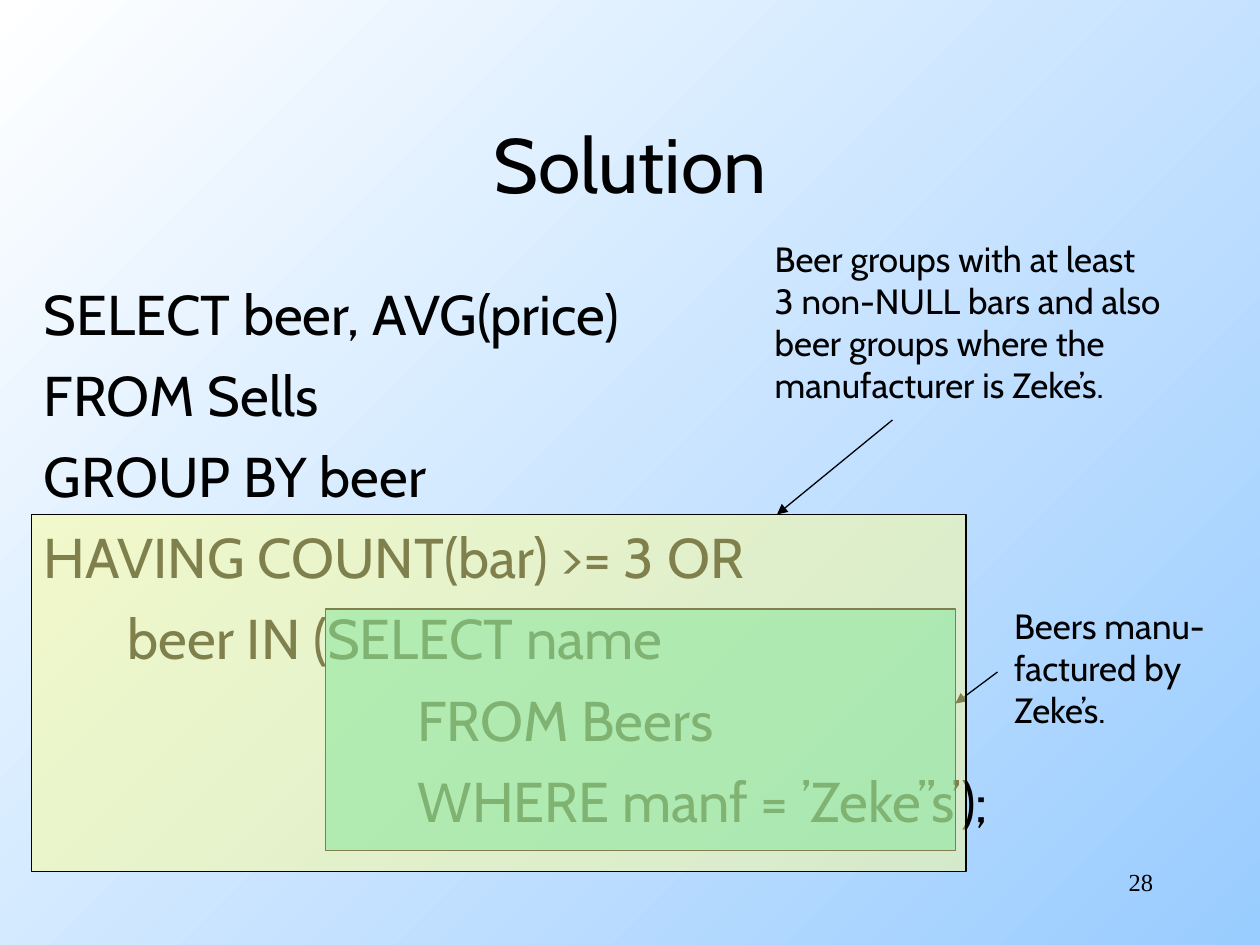
from lxml import etree
from pptx import Presentation
from pptx.dml.color import RGBColor
from pptx.enum.shapes import MSO_CONNECTOR, MSO_SHAPE
from pptx.enum.text import MSO_ANCHOR, PP_ALIGN
from pptx.oxml.ns import qn
from pptx.util import Inches, Pt

BLACK = RGBColor(0x00, 0x00, 0x00)
WHITE = RGBColor(0xFF, 0xFF, 0xFF)
SKY = RGBColor(0x99, 0xCC, 0xFF)
GREEN = RGBColor(0x00, 0xCC, 0x99)
YELLOW = RGBColor(0xFF, 0xFF, 0x99)

LEFT, CENTER, RIGHT = PP_ALIGN.LEFT, PP_ALIGN.CENTER, PP_ALIGN.RIGHT
TOP, MIDDLE = MSO_ANCHOR.TOP, MSO_ANCHOR.MIDDLE
RECT, STRAIGHT = MSO_SHAPE.RECTANGLE, MSO_CONNECTOR.STRAIGHT

# Boxes are left, top, width, height on a grid of 120 columns by 90 rows.
WIDE, HIGH = Inches(10), Inches(7.5)
CELL = WIDE / 120

QUERY = [  # indent in columns, text
    (0, "SELECT beer, AVG(price)"),
    (0, "FROM Sells"),
    (0, "GROUP BY beer"),
    (0, "HAVING COUNT(bar) >= 3 OR"),
    (8, "beer IN (SELECT name"),
    (35.6, "FROM Beers"),
    (35.6, "WHERE manf = ’Zeke’’s’);"),
]
INNER = ["Beers manu-", "factured by", "Zeke’s."]
OUTER = ["Beer groups with at least", "3 non-NULL bars and also",
         "beer groups where the", "manufacturer is Zeke’s."]


def grid(*cells):
    return [round(n * CELL) for n in cells]


def write(slide, box, lines, size, font="Cabin", align=LEFT, anchor=TOP,
          wrap=True, before=0, indents=None):
    frame = slide.shapes.add_textbox(*grid(*box)).text_frame
    frame.word_wrap = wrap
    frame.vertical_anchor = anchor
    for i, line in enumerate(lines):
        para = frame.paragraphs[0] if i == 0 else frame.add_paragraph()
        para.alignment = align
        para.space_before = Pt(before)
        if indents:
            para._p.get_or_add_pPr().set("marL", str(grid(indents[i])[0]))
        run = para.add_run()
        run.text = line
        run.font.size = Pt(size)
        run.font.name = font
        run.font.color.rgb = BLACK


def panel(slide, box, color):
    """Draw a half-transparent outlined block over part of the query."""
    shape = slide.shapes.add_shape(RECT, *grid(*box))
    shape.shadow.inherit = False
    shape.fill.solid()
    shape.fill.fore_color.rgb = color
    tint = shape.fill._xPr.find(qn("a:solidFill"))[0]
    etree.SubElement(tint, qn("a:alpha")).set("val", "50000")
    shape.line.color.rgb = BLACK
    shape.line.width = Pt(0.75)


def arrow(slide, start, end):
    link = slide.shapes.add_connector(STRAIGHT, *grid(*start, *end))
    link.line.color.rgb = BLACK
    link.line.width = Pt(0.75)
    line = link.line._get_or_add_ln()
    etree.SubElement(line, qn("a:tailEnd")).set("type", "triangle")
    etree.SubElement(link._element.spPr, qn("a:effectLst"))


def callout(slide, box, color, note, lines, start, end):
    """Mark a block of the query; note, start and end count from its corner."""
    left, top = box[:2]
    panel(slide, box, color)
    write(slide, (left + note[0], top + note[1], *note[2:]), lines, 20,
          wrap=False)
    arrow(slide, (left + start[0], top + start[1]),
          (left + end[0], top + end[1]))


def query(slide, box):
    indents, lines = zip(*QUERY)
    write(slide, box, lines, 32, before=8, indents=indents)


def backdrop(slide):
    fill = slide.background.fill
    fill.gradient()
    fill.gradient_angle = 135
    for stop, color in zip(fill.gradient_stops, (SKY, WHITE)):
        stop.color.rgb = color


def main():
    deck = Presentation()
    deck.slide_width, deck.slide_height = WIDE, HIGH
    slide = deck.slides.add_slide(deck.slide_layouts[6])
    backdrop(slide)
    write(slide, (86, 82, 25, 6), ["28"], 14, font="Times New Roman",
          align=RIGHT)
    write(slide, (9, 8, 102, 15), ["Solution"], 44, align=CENTER,
          anchor=MIDDLE)
    query(slide, (3, 26, 108, 54))
    callout(slide, (31, 58, 60, 23), GREEN, (64.4, -1, 22.3, 13.2), INNER,
            start=(64, 6), end=(60, 9))
    callout(slide, (3, 49, 89, 34), YELLOW, (69.6, -27, 42.7, 17.3), OUTER,
            start=(82, -9), end=(71, 0))
    deck.save("out.pptx")


if __name__ == "__main__":
    main()
